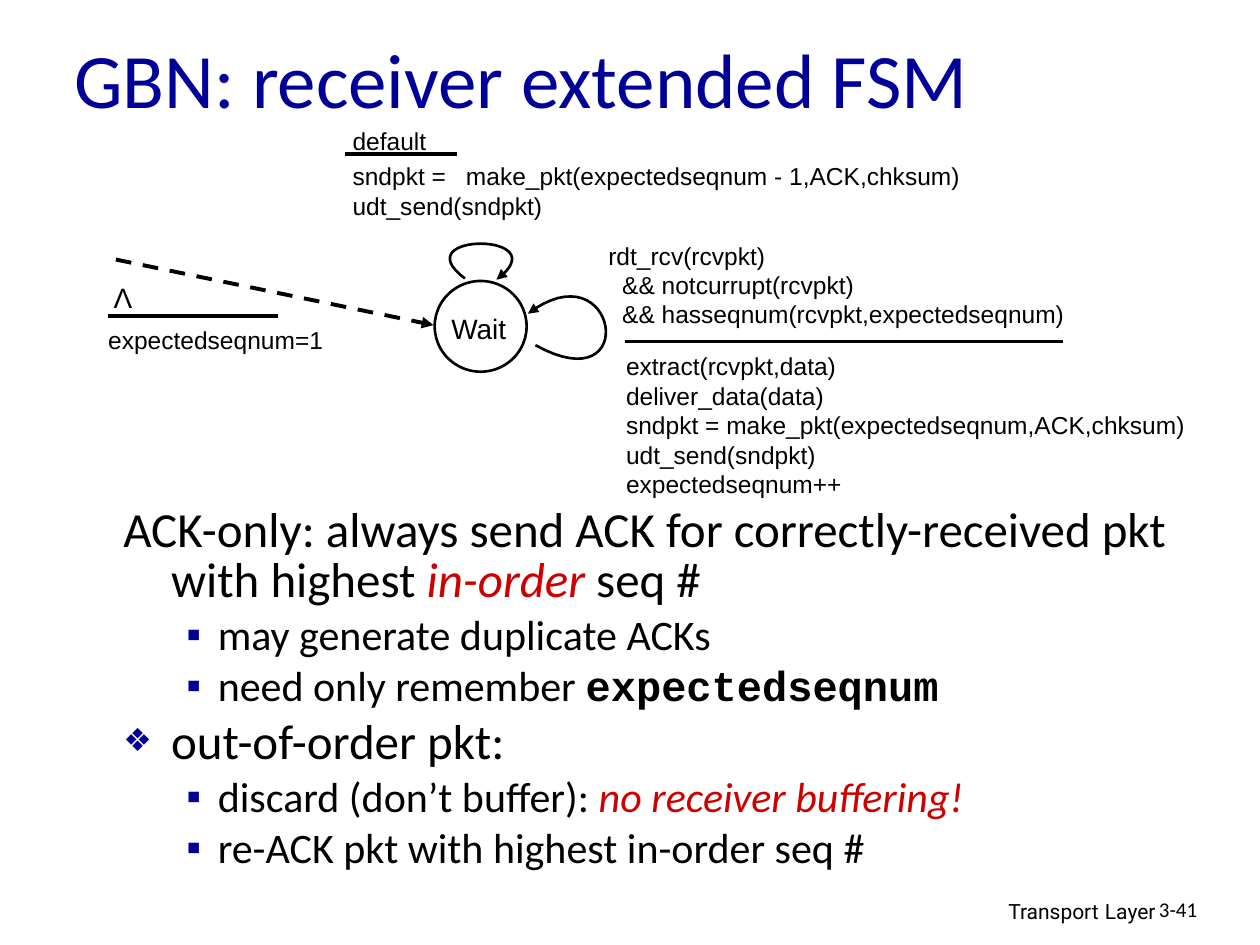
from lxml import etree
from pptx import Presentation
from pptx.dml.color import RGBColor
from pptx.enum.dml import MSO_LINE
from pptx.enum.shapes import MSO_CONNECTOR, MSO_SHAPE
from pptx.enum.text import MSO_ANCHOR, PP_ALIGN
from pptx.oxml.ns import qn
from pptx.util import Inches, Pt

STRAIGHT = MSO_CONNECTOR.STRAIGHT
OVAL = MSO_SHAPE.OVAL
DASH = MSO_LINE.DASH
MIDDLE = MSO_ANCHOR.MIDDLE
CENTER, RIGHT = PP_ALIGN.CENTER, PP_ALIGN.RIGHT
COLORS = {"ink": "000000", "navy": "000099", "red": "CC0000", "paper": "FFFFFF"}
CURVE_STEPS = 32


def rgb(name):
    return RGBColor.from_string(COLORS[name])


def set_font(font, size, name, color="ink"):
    font.size, font.name = Pt(size), name
    font.color.rgb = rgb(color)


def add_text(slide, box, lines, size=14, font="Arial", color="ink", align=None, wrap=True):
    shape = slide.shapes.add_textbox(*map(Inches, box))
    frame = shape.text_frame
    frame.word_wrap = wrap
    for index, line in enumerate(lines):
        paragraph = frame.paragraphs[0] if index == 0 else frame.add_paragraph()
        paragraph.text = line
        paragraph.alignment = align
        set_font(paragraph.font, size, font, color)
    return frame


def style_line(shape, width, arrow=False):
    shape.line.color.rgb = rgb("ink")
    shape.line.width = Pt(width)
    if arrow:
        etree.SubElement(shape.line._get_or_add_ln(), qn("a:tailEnd"), type="triangle")


def add_line(slide, start, end, width=2.25, dashed=False, arrow=False):
    connector = slide.shapes.add_connector(STRAIGHT, *map(Inches, (*start, *end)))
    style_line(connector, width)
    if dashed:
        connector.line.dash_style = DASH
    if arrow:
        style_line(connector, width, arrow=True)
    etree.SubElement(connector._element.spPr, qn("a:effectLst"))


def add_loop(slide, controls):
    """Draw a cubic Bezier transition that ends in an arrowhead."""
    points = []
    for step in range(CURVE_STEPS + 1):
        t = step / CURVE_STEPS
        weights = ((1 - t) ** 3, 3 * t * (1 - t) ** 2, 3 * t * t * (1 - t), t ** 3)
        points.append(tuple(Inches(sum(w * c for w, c in zip(weights, axis)))
                            for axis in zip(*controls)))
    builder = slide.shapes.build_freeform(*points[0])
    builder.add_line_segments(points[1:], close=False)
    loop = builder.convert_to_shape()
    loop.shadow.inherit = False
    loop.fill.background()
    style_line(loop, 1.5, arrow=True)


def add_title(slide, box):
    frame = add_text(slide, box, ["GBN: receiver extended FSM"], 44, "Calibri", "navy")
    frame.vertical_anchor = MIDDLE


def add_state_machine(slide, left, top):
    def at(x, y):
        return left + x, top + y

    # Wait state and its initial transition
    state = slide.shapes.add_shape(OVAL, *map(Inches, (*at(2.7, 1.28), 0.73, 0.72)))
    state.shadow.inherit = False
    state.fill.solid()
    state.fill.fore_color.rgb = rgb("paper")
    style_line(state, 1.5)
    add_text(slide, (*at(2.61, 1.47), 0.88, 0.26), ["Wait"], 16, align=CENTER)
    add_line(slide, at(0.17, 1.11), at(2.69, 1.63), dashed=True, arrow=True)
    add_text(slide, (*at(0.05, 1.23), 0.35, 0.37), ["Λ"], 16, align=CENTER, wrap=False)
    add_line(slide, at(0.11, 1.56), at(1.46, 1.56))
    add_text(slide, (*at(0.01, 1.58), 3.98, 1.07), ["expectedseqnum=1"])

    # Default transition
    add_loop(slide, [at(2.94, 1.26), at(2.44, 0.89), at(3.7, 0.89), at(3.19, 1.27)])
    add_text(slide, (*at(1.95, 0), 0.79, 0.27), ["default"])
    add_line(slide, at(1.99, 0.27), at(2.88, 0.27))
    action = add_text(slide, (*at(1.95, 0.28), 6.4, 0.34),
                      ["sndpkt =\tmake_pkt(expectedseqnum - 1,ACK,chksum)", "udt_send(sndpkt)"])
    properties = action.paragraphs[0]._p.get_or_add_pPr()
    tabs = etree.Element(qn("a:tabLst"))
    etree.SubElement(tabs, qn("a:tab"), pos=str(Inches(0.9)), algn="l")
    properties.insert(0, tabs)

    # In-order packet transition
    add_loop(slide, [at(3.5, 1.79), at(4.35, 2.26), at(4.15, 1), at(3.44, 1.54)])
    event = add_text(slide, (*at(3.98, 0.91), 3.9, 0.62), [
        "rdt_rcv(rcvpkt)", "&& notcurrupt(rcvpkt)", "&& hasseqnum(rcvpkt,expectedseqnum)"])
    for paragraph in event.paragraphs[1:]:
        paragraph._p.get_or_add_pPr().set("marL", str(Inches(0.11)))
    add_line(slide, at(4.21, 1.76), at(7.69, 1.76), width=1.5)
    add_text(slide, (*at(4.12, 1.79), 4.72, 0.94), [
        "extract(rcvpkt,data)", "deliver_data(data)",
        "sndpkt = make_pkt(expectedseqnum,ACK,chksum)",
        "udt_send(sndpkt)", "expectedseqnum++"])


def set_bullet(paragraph, margin, hanging, bullet, percent):
    properties = paragraph._p.get_or_add_pPr()
    properties.set("marL", str(Inches(margin)))
    properties.set("indent", str(-Inches(hanging)))
    if not bullet:
        etree.SubElement(properties, qn("a:buNone"))
        return
    color = etree.SubElement(properties, qn("a:buClr"))
    etree.SubElement(color, qn("a:srgbClr"), val=COLORS["navy"])
    etree.SubElement(properties, qn("a:buSzPct"), val=str(percent * 1000))
    etree.SubElement(properties, qn("a:buFont"), typeface="Arial")
    etree.SubElement(properties, qn("a:buChar"), char=bullet)


def add_notes_list(slide, box):
    """Add the outline; each item is a level, a bullet and (text, style) runs."""
    items = [
        (0, None, [("ACK-only: always send ACK for correctly-received pkt with highest ", None),
                   ("in-order", "emphasis"), (" seq #", None)]),
        (1, "▪", [("may generate duplicate ACKs", None)]),
        (1, "▪", [("need only remember ", None), ("expectedseqnum", "code")]),
        (0, "❖", [("out-of-order pkt:", None)]),
        (1, "▪", [("discard (don’t buffer): ", None), ("no receiver buffering!", "emphasis")]),
        (1, "▪", [("re-ACK pkt with highest in-order seq #", None)]),
    ]
    levels = [(28, 0.38, 0.38, 65), (24, 0.75, 0.25, 100)]
    frame = slide.shapes.add_textbox(*map(Inches, box)).text_frame
    frame.word_wrap = True
    for index, (level, bullet, runs) in enumerate(items):
        size, margin, hanging, percent = levels[level]
        paragraph = frame.paragraphs[0] if index == 0 else frame.add_paragraph()
        paragraph.level = level
        set_bullet(paragraph, margin, hanging, bullet, percent)
        paragraph.line_spacing = 0.85
        paragraph.space_before = Pt(size * 0.2 if index else 0)
        set_font(paragraph.font, size, "Calibri")
        for text, style in runs:
            run = paragraph.add_run()
            run.text = text
            if style == "emphasis":
                run.font.italic = True
                run.font.color.rgb = rgb("red")
            elif style == "code":
                run.font.bold = True
                run.font.name = "Courier New"


def add_footer(slide, left, top):
    frame = add_text(slide, (left, top, 3.17, 0.31), ["Transport"], 12, "Roboto", align=RIGHT)
    for text, size in ((" ", 14), ("Layer", 12)):
        run = frame.paragraphs[0].add_run()
        run.text = text
        run.font.size = Pt(size)
    add_text(slide, (left + 3, top + 0.02, 0.74, 0.3), ["3-41"], 12, "Calibri")


def main():
    presentation = Presentation()
    presentation.slide_width, presentation.slide_height = Inches(10), Inches(7.5)
    slide = presentation.slides.add_slide(presentation.slide_layouts[6])
    add_footer(slide, 6.1, 7.05)
    add_notes_list(slide, (0.88, 3.98, 8.91, 3.12))
    add_state_machine(slide, 0.75, 0.95)
    add_title(slide, (0.49, 0.23, 8.5, 0.77))
    presentation.save("out.pptx")


if __name__ == "__main__":
    main()
